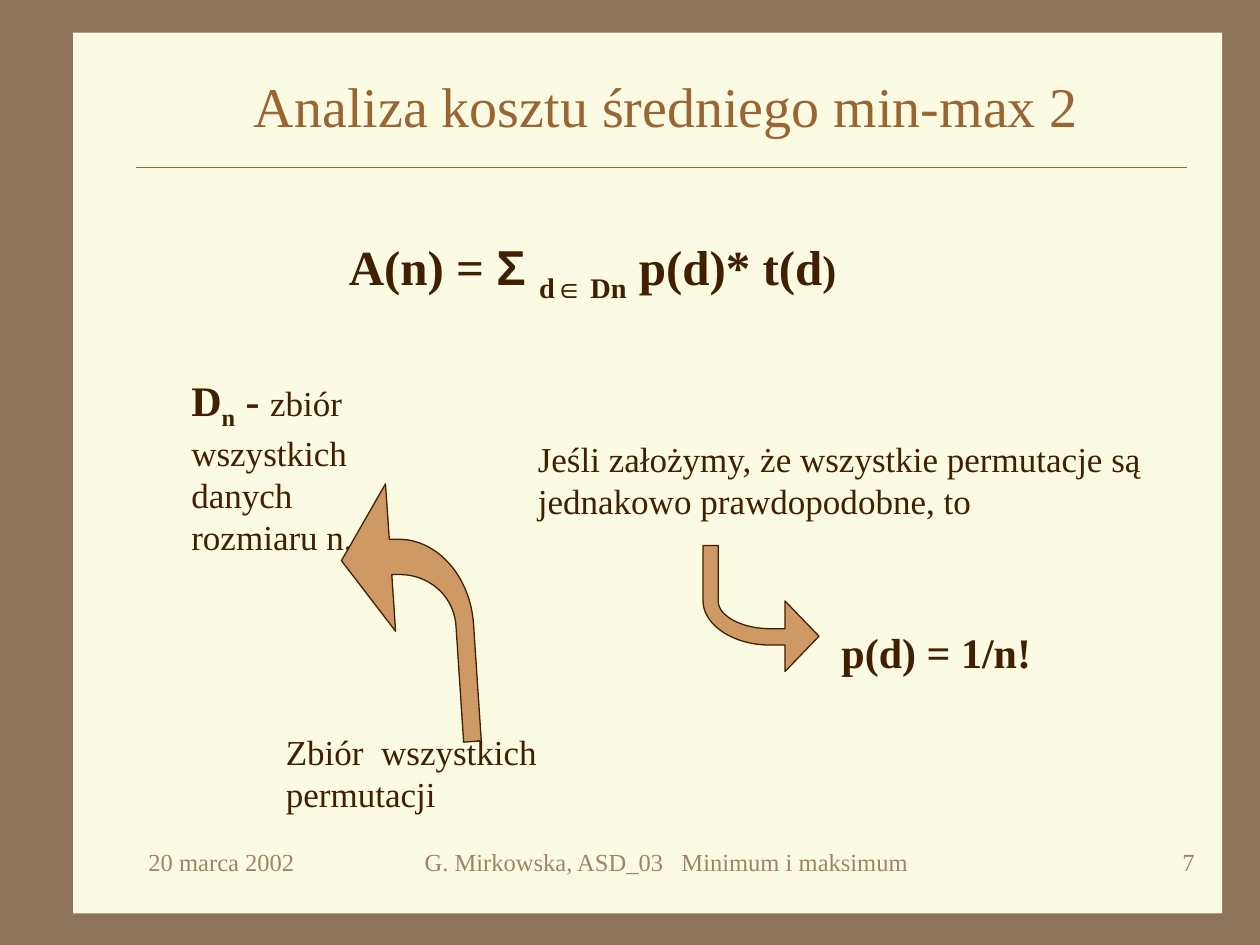
from dataclasses import dataclass

import pptx
import pptx.dml.color
import pptx.enum.shapes
import pptx.enum.text
import pptx.oxml
import pptx.oxml.ns
import pptx.util

Inches = pptx.util.Inches
Pt = pptx.util.Pt
Align = pptx.enum.text.PP_ALIGN
Anchor = pptx.enum.text.MSO_ANCHOR


@dataclass(frozen=True)
class Theme:
    frame: str = "8C735A"
    paper: str = "FBFAE2"
    accent: str = "996633"
    ink: str = "402000"
    arrow: str = "CE9964"
    muted: str = "A08366"
    serif: str = "Times New Roman"
    sans: str = "Arial"
    title: int = 32
    formula: int = 28
    term: int = 24
    body: int = 20
    footer: int = 14
    line: float = 0.75


THEME = Theme()


def rgb(value):
    return pptx.dml.color.RGBColor.from_string(value)


def add_text(slide, box, runs, size, color=THEME.ink, bold=False,
             align=Align.LEFT, anchor=Anchor.TOP):
    tf = slide.shapes.add_textbox(*map(Inches, box)).text_frame
    tf.word_wrap = True
    tf.vertical_anchor = anchor
    p = tf.paragraphs[0]
    p.alignment = align
    p.font.size = Pt(size)
    p.font.name = THEME.serif
    p.font.bold = bold
    p.font.color.rgb = rgb(color)
    for text, style in runs:
        r = p.add_run()
        r.text = text
        r.font.name = style.get("font", THEME.serif)
        r.font.size = Pt(style.get("size", size))
        r.font.bold = style.get("bold", bold)
        r.font.color.rgb = rgb(color)
        if style.get("sub"):
            r.font._element.set("baseline", "-25000")


def bezier(start, c1, c2, end, steps=24):
    for i in range(1, steps + 1):
        t = i / steps
        u = 1 - t
        yield tuple(u**3 * a + 3 * u * u * t * b + 3 * u * t * t * c + t**3 * d
                    for a, b, c, d in zip(start, c1, c2, end))


def curved_arrow(slide, left, top, outline):
    points = [outline[0]]
    for step in outline[1:]:
        if len(step) == 2:
            points.append(step)
        else:
            points.extend(bezier(points[-1], step[:2], step[2:4], step[4:]))
    points = [(Inches(left + x), Inches(top + y)) for x, y in points]
    builder = slide.shapes.build_freeform(*points[0])
    builder.add_line_segments(points[1:], close=True)
    sp = builder.convert_to_shape()
    sp.shadow.inherit = False
    sp.fill.solid()
    sp.fill.fore_color.rgb = rgb(THEME.arrow)
    sp.line.color.rgb = rgb(THEME.ink)
    sp.line.width = Pt(THEME.line)


def add_paper(slide, box):
    slide.background.fill.solid()
    slide.background.fill.fore_color.rgb = rgb(THEME.frame)
    sp = slide.shapes.add_shape(
        pptx.enum.shapes.MSO_SHAPE.RECTANGLE, *map(Inches, box))
    sp.shadow.inherit = False
    sp.fill.solid()
    sp.fill.fore_color.rgb = rgb(THEME.paper)
    sp.line.fill.background()


def add_header(slide, box):
    left, top, width, height = box
    rule_y = Inches(top + height)
    rule = slide.shapes.add_connector(
        pptx.enum.shapes.MSO_CONNECTOR.STRAIGHT,
        Inches(left), rule_y, Inches(left + width - 0.08), rule_y)
    rule.line.color.rgb = rgb(THEME.accent)
    rule.line.width = Pt(THEME.line)
    rule._element.spPr.append(pptx.oxml.parse_xml(
        f"<a:effectLst {pptx.oxml.ns.nsdecls('a')}/>"))
    add_text(slide, (left, top, width, 0.67),
             [("Analiza kosztu średniego min-max 2", {})], THEME.title,
             THEME.accent, align=Align.CENTER, anchor=Anchor.MIDDLE)


def add_formula(slide, box):
    add_text(slide, box, [
        ("A(n) = ", {}),
        ("Σ ", {"font": THEME.sans}),
        ("d", {"sub": True}),
        ("∈", {"font": THEME.sans, "sub": True}),
        (" Dn", {"sub": True}),
        (" p(d)* t(d", {}),
        (")", {"size": THEME.term}),
    ], THEME.formula, bold=True)


def add_data_set(slide, box):
    left, top, width, height = box
    add_text(slide, (left, top, 2, 1.56), [
        ("D", {}),
        ("n", {"sub": True}),
        (" - ", {}),
        ("zbiór wszystkich danych rozmiaru n.",
         {"size": THEME.body, "bold": False}),
    ], THEME.term, bold=True)
    curved_arrow(slide, left + 1.29, top + 0.92, [
        (1.11, 2.04), (1.05, 1.13), (1.03, 0.73, 0.75, 0.42, 0.42, 0.44),
        (0.38, 0.44), (0.35, 0), (0, 0.61), (0.43, 1.17), (0.4, 0.72),
        (0.44, 0.72), (0.69, 0.71, 0.9, 0.89, 0.91, 1.14), (0.97, 2.05)])
    add_text(slide, (left + width - 2.33, top + height - 0.77, 2.33, 0.77),
             [("Zbiór  wszystkich permutacji", {})], THEME.body)


def add_probability(slide, box):
    left, top, width, height = box
    add_text(slide, (left, top, width, 0.77), [
        ("Jeśli założymy, że wszystkie permutacje są jednakowo "
         "prawdopodobne, to", {})], THEME.body)
    add_text(slide, (left + 2.41, top + height - 0.5, 1.75, 0.5),
             [("p(d) = 1/n!", {})], THEME.term, bold=True)
    curved_arrow(slide, left + 1.41, top + 0.91, [
        (0, 0), (0, 0.44), (0, 0.63, 0.24, 0.79, 0.53, 0.79), (0.65, 0.79),
        (0.65, 1), (0.92, 0.72), (0.65, 0.44), (0.65, 0.66), (0.53, 0.66),
        (0.31, 0.66, 0.12, 0.56, 0.12, 0.44), (0.12, 0)])


def add_footer(slide, box):
    left, top, width, height = box
    side = 2.08
    parts = [
        (left + 2, 4.42, Align.CENTER,
         "G. Mirkowska, ASD_03   Minimum i maksimum"),
        (left + width - side, side, Align.RIGHT, "7"),
        (left, side, Align.LEFT, "20 marca 2002"),
    ]
    for x, part_width, align, text in parts:
        add_text(slide, (x, top, part_width, height), [(text, {})],
                 THEME.footer, THEME.muted, align=align)


def main():
    prs = pptx.Presentation()
    prs.slide_width = Inches(10)
    prs.slide_height = Inches(7.5)
    slide = prs.slides.add_slide(prs.slide_layouts[6])
    add_paper(slide, (0.58, 0.26, 9.12, 6.99))
    add_header(slide, (1.08, 0.5, 8.42, 0.83))
    add_formula(slide, (2.67, 1.83, 4.67, 0.63))
    add_data_set(slide, (1.42, 2.92, 3.08, 3.6))
    add_probability(slide, (4.17, 3.42, 5.25, 2))
    add_footer(slide, (1.08, 6.67, 8.5, 0.5))
    prs.save("out.pptx")


if __name__ == "__main__":
    main()
